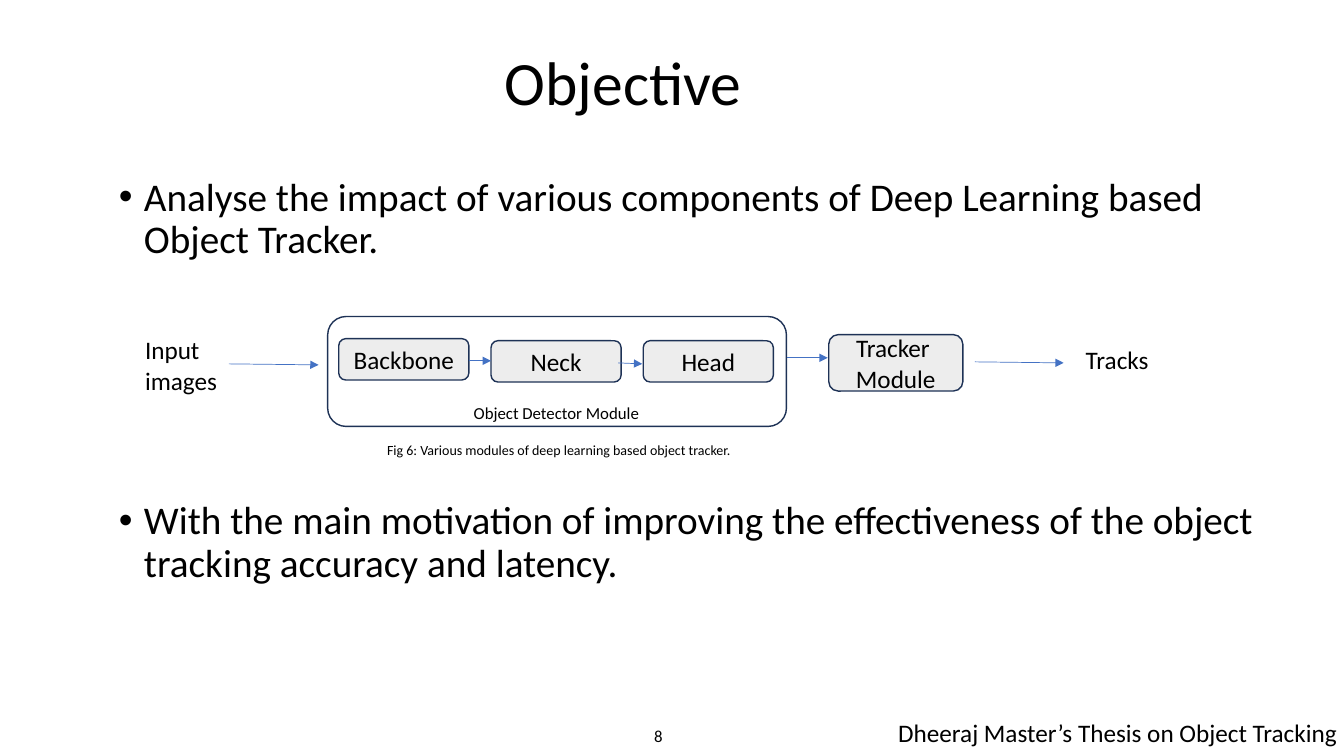
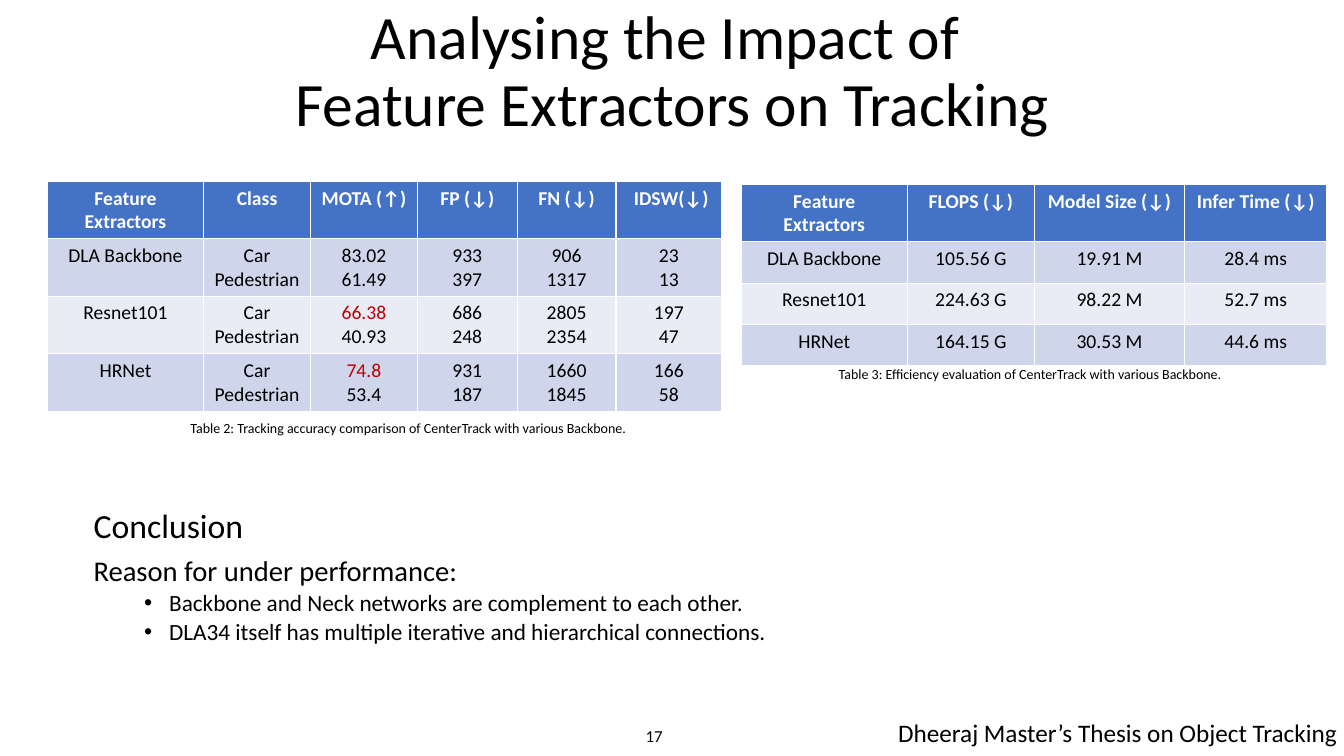
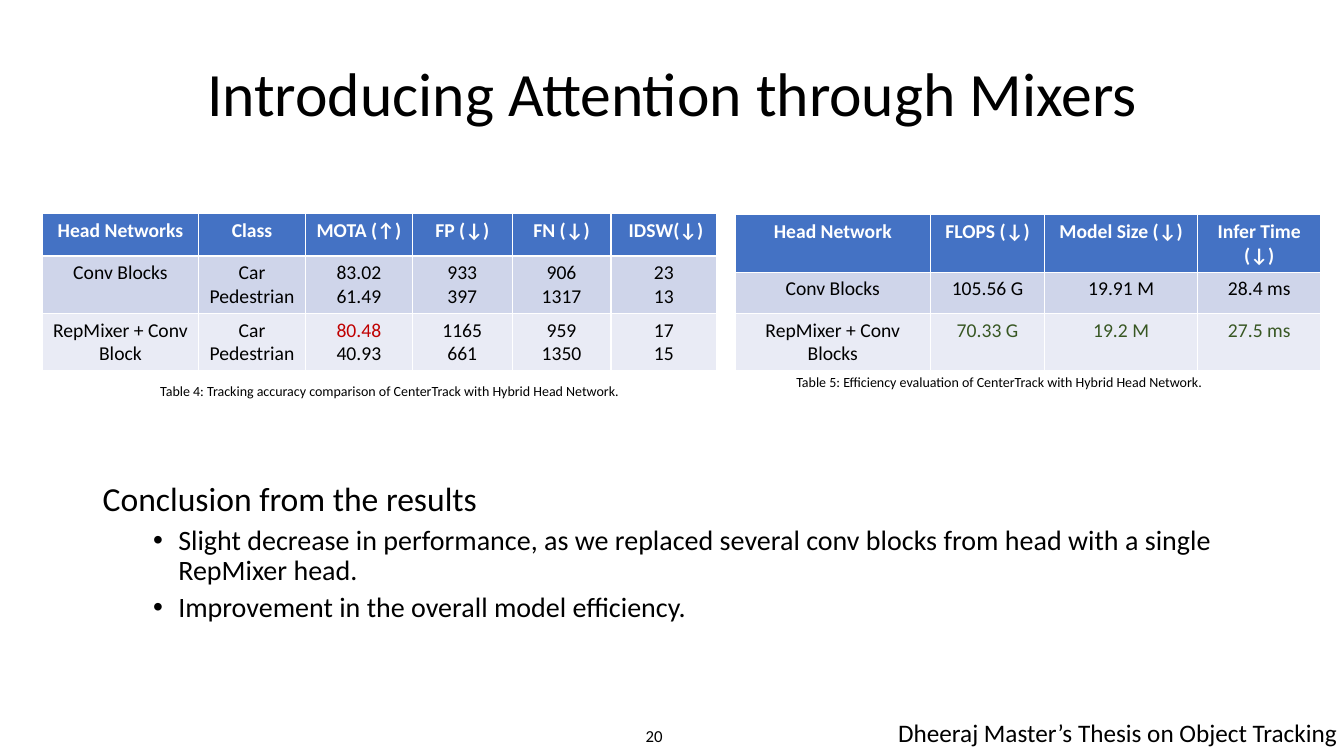
from dataclasses import dataclass, field

from lxml import etree
from pptx import Presentation
from pptx import slide as sl
from pptx.dml import color
from pptx.enum import shapes, text
from pptx.oxml import ns
from pptx.text import text as txt
from pptx.util import Emu, Pt

PX = 9144  # one hundredth of an inch
FONT = "Calibri"
HUES = {
    "ink": "000000", "white": "FFFFFF", "edge": "1E3256", "box": "EDEDED",
    "blue": "4472C4", "odd": "CFD5EA", "even": "E9EBF5",
    "red": "C00000", "green": "385723",
}
LEFT, MID, RIGHT = text.PP_ALIGN.LEFT, text.PP_ALIGN.CENTER, text.PP_ALIGN.RIGHT
FOOT = "Dheeraj Master’s Thesis on Object Tracking"


@dataclass
class Para:
    words: str
    size: float
    hue: str = "ink"
    bold: bool = False
    align: text.PP_ALIGN = LEFT
    lead: float = 1.0
    above: int = 0
    indent: int = 0  # px to the text of a bullet; 0 for no bullet


@dataclass
class Label:
    area: tuple[int, int, int, int]
    paras: list[Para]
    wrap: bool = True
    middle: bool = False


@dataclass
class Grid:
    at: tuple[int, int]
    cols: list[int]
    rows: list[int]
    cells: list[tuple[str, ...]]
    tints: dict[tuple[int, int], str] = field(default_factory=dict)


@dataclass
class Page:
    number: int
    title: str
    area: tuple[int, int, int, int]
    labels: list[Label]
    grids: list[Grid] = field(default_factory=list)


def px(*sizes: int) -> list[Emu]:
    return [Emu(size * PX) for size in sizes]


def rgb(hue: str) -> color.RGBColor:
    return color.RGBColor.from_string(HUES[hue])


def write(frame: txt.TextFrame, paras: list[Para]) -> None:
    for i, para in enumerate(paras):
        line = frame.paragraphs[0] if i == 0 else frame.add_paragraph()
        if para.indent:
            props = line._p.get_or_add_pPr()
            props.set("marL", str(para.indent * PX))
            props.set("indent", str(-25 * PX))
            etree.SubElement(props, ns.qn("a:buFont"), typeface="Arial")
            etree.SubElement(props, ns.qn("a:buChar"), char="•")
        form = {"alignment": para.align, "line_spacing": para.lead,
                "space_before": Pt(para.above if i else 0)}
        for key, value in form.items():
            setattr(line, key, value)
        for j, part in enumerate(para.words.split("\n")):
            if j:
                line.add_line_break()
            run = line.add_run()
            run.text = part
            style = {"name": FONT, "size": Pt(para.size), "bold": para.bold}
            for key, value in style.items():
                setattr(run.font, key, value)
            run.font.color.rgb = rgb(para.hue)


def label(page: sl.Slide, item: Label) -> None:
    frame = page.shapes.add_textbox(*px(*item.area)).text_frame
    frame.word_wrap = item.wrap
    if item.middle:
        frame.vertical_anchor = text.MSO_ANCHOR.MIDDLE
    write(frame, item.paras)


def block(page: sl.Slide, area: tuple[int, int, int, int], words: str) -> None:
    shape = page.shapes.add_shape(shapes.MSO_SHAPE.ROUNDED_RECTANGLE, *px(*area))
    shape.shadow.inherit = False
    shape.line.color.rgb = rgb("edge")
    shape.line.width = Pt(1)
    if words:
        shape.fill.solid()
        shape.fill.fore_color.rgb = rgb("box")
        shape.text_frame.vertical_anchor = text.MSO_ANCHOR.MIDDLE
        write(shape.text_frame, [Para(words, 18, align=MID)])
    else:
        shape.fill.background()


def arrow(page: sl.Slide, ends: tuple[int, int, int, int]) -> None:
    line = page.shapes.add_connector(shapes.MSO_CONNECTOR.STRAIGHT, *px(*ends))
    line.line.color.rgb = rgb("blue")
    line.line.width = Pt(0.5)
    etree.SubElement(line.line._get_or_add_ln(), ns.qn("a:tailEnd"), type="triangle")
    etree.SubElement(line._element.spPr, ns.qn("a:effectLst"))


def table(page: sl.Slide, grid: Grid) -> None:
    area = px(*grid.at, sum(grid.cols), sum(grid.rows))
    tab = page.shapes.add_table(len(grid.rows), len(grid.cols), *area).table
    for col, wide in zip(tab.columns, px(*grid.cols)):
        col.width = wide
    for row, high in zip(tab.rows, px(*grid.rows)):
        row.height = high
    for r, row in enumerate(grid.cells):
        for c, words in enumerate(row):
            cell = tab.cell(r, c)
            cell.fill.solid()
            cell.fill.fore_color.rgb = rgb(("even", "odd")[r % 2] if r else "blue")
            paras = [Para(part, 14, "ink" if r else "white", r == 0, MID)
                     for part in words.split("\n")]
            paras[0].hue = grid.tints.get((r, c), paras[0].hue)
            write(cell.text_frame, paras)


def note(x: int, y: int, wide: int, words: str) -> Label:
    return Label((x, y, wide, 27), [Para(words, 10)], wrap=False)


def goal(y: int, words: str) -> Label:
    return Label((108, y, 1150, 100), [Para(words, 28, lead=0.9, indent=25)])


def flow(page: sl.Slide) -> None:
    # Modules
    block(page, (325, 314, 455, 109), "")
    block(page, (822, 332, 133, 56), "Tracker \nModule")
    for i, (words, y) in enumerate((("Backbone", 336), ("Neck", 338), ("Head", 338))):
        block(page, (336 + 151 * i, y, 129, 41), words)
    # Arrows
    for ends in ((227, 361, 316, 362), (967, 359, 1055, 360), (781, 355, 821, 355),
                 (613, 360, 637, 361), (465, 358, 487, 358)):
        arrow(page, ends)


# Tables
CLASS = "Car\nPedestrian"
BASE = (CLASS, "83.02\n61.49", "933\n397", "906\n1317", "23\n13")
SCORES = ("Class", "MOTA (↑)", "FP (↓)", "FN (↓)", " IDSW(↓)")
COSTS = ("FLOPS (↓)", "Model Size (↓)", "Infer Time (↓)")
COST = ("105.56 G", "19.91 M", "28.4 ms")
WIDE = [155, 106, 106, 99, 98, 105]

BONES = [
    Grid((47, 180), WIDE, [57] * 4, [
        ("Feature Extractors", *SCORES),
        ("DLA Backbone", *BASE),
        ("Resnet101", CLASS, "66.38\n40.93", "686\n248", "2805\n2354", "197\n47"),
        ("HRNet", CLASS, "74.8\n53.4", "931\n187", "1660\n1845", "166\n58"),
    ], {(2, 2): "red", (3, 2): "red"}),
    Grid((735, 183), [165, 126, 149, 141], [57, 41, 41, 41], [
        ("Feature Extractors", *COSTS),
        ("DLA Backbone", *COST),
        ("Resnet101", "224.63 G", "98.22 M", "52.7 ms"),
        ("HRNet", "164.15 G", "30.53 M", "44.6 ms"),
    ]),
]
HEADS = [
    Grid((42, 212), WIDE, [42, 57, 57], [
        ("Head Networks", *SCORES),
        ("Conv Blocks", *BASE),
        ("RepMixer + Conv Block", CLASS, "80.48\n40.93", "1165\n661", "959\n1350",
         "17\n15"),
    ], {(2, 2): "red"}),
    Grid((729, 213), [194, 113, 152, 122], [57, 41, 57], [
        ("Head Network", *COSTS),
        ("Conv Blocks", *COST),
        ("RepMixer + Conv Blocks", "70.33 G", "19.2 M", "27.5 ms"),
    ], {(2, c): "green" for c in (1, 2, 3)}),
]

# Pages
PAGES = [
    Page(8, "Objective ", (50, 26, 1150, 117), [
        goal(171, "Analyse the impact of various components of Deep Learning based "
                  "Object Tracker."),
        goal(492, "With the main motivation of improving the effectiveness of the "
                  "object tracking accuracy and latency."),
        Label((134, 327, 100, 71), [Para("Input\nimages", 18)]),
        Label((1067, 337, 100, 40), [Para("Tracks", 18)]),
        Label((460, 395, 186, 30), [Para("Object Detector Module", 12)], wrap=False),
        note(374, 433, 378,
             "Fig 6: Various modules of deep learning based object tracker."),
    ]),
    Page(17, "Analysing the Impact of \nFeature Extractors on Tracking",
         (92, 0, 1150, 145), [
             Label((83, 504, 1241, 172), [
                 Para("Conclusion", 24.1, lead=0.8),
                 Para("Reason for under performance:", 20.4, lead=0.8, above=10),
                 *(Para(words, 16.6, lead=0.8, above=5, indent=75) for words in (
                     "Backbone and Neck networks are complement to each other.",
                     "DLA34 itself has multiple iterative and hierarchical "
                     "connections.")),
             ]),
             note(822, 358, 408, "Table 3: Efficiency evaluation of CenterTrack with "
                                 "various Backbone."),
             note(179, 411, 476, "Table 2: Tracking accuracy comparison of CenterTrack "
                                 "with various Backbone."),
         ], BONES),
    Page(20, "Introducing Attention through Mixers", (92, 23, 1150, 145), [
        Label((92, 474, 1150, 202), [
            Para("Conclusion from the results", 24, lead=0.9),
            *(Para(words, 20, lead=0.9, above=5, indent=75) for words in (
                "Slight decrease in performance, as we replaced several conv blocks "
                "from head with a single RepMixer head.",
                "Improvement in the overall model efficiency.")),
        ]),
        note(780, 366, 434, "Table 5: Efficiency evaluation of CenterTrack with "
                            "Hybrid Head Network."),
        note(149, 375, 481, "Table 4: Tracking accuracy comparison of CenterTrack "
                            "with Hybrid Head Network."),
    ], HEADS),
]


def main() -> None:
    deck = Presentation()
    deck.slide_width, deck.slide_height = px(1333, 750)
    for item in PAGES:
        page = deck.slides.add_slide(deck.slide_layouts[6])
        # Title and footer
        head = Para(item.title, 44, align=MID, lead=0.9)
        label(page, Label(item.area, [head], middle=True))
        label(page, Label((881, 707, 460, 40), [Para(FOOT, 18)], wrap=False))
        label(page, Label((616, 710, 51, 40),
                          [Para(str(item.number), 12, align=RIGHT)], middle=True))
        # Content
        if item.number == 8:
            flow(page)
        for grid in item.grids:
            table(page, grid)
        for part in item.labels:
            label(page, part)
    deck.save("out.pptx")


if __name__ == "__main__":
    main()
